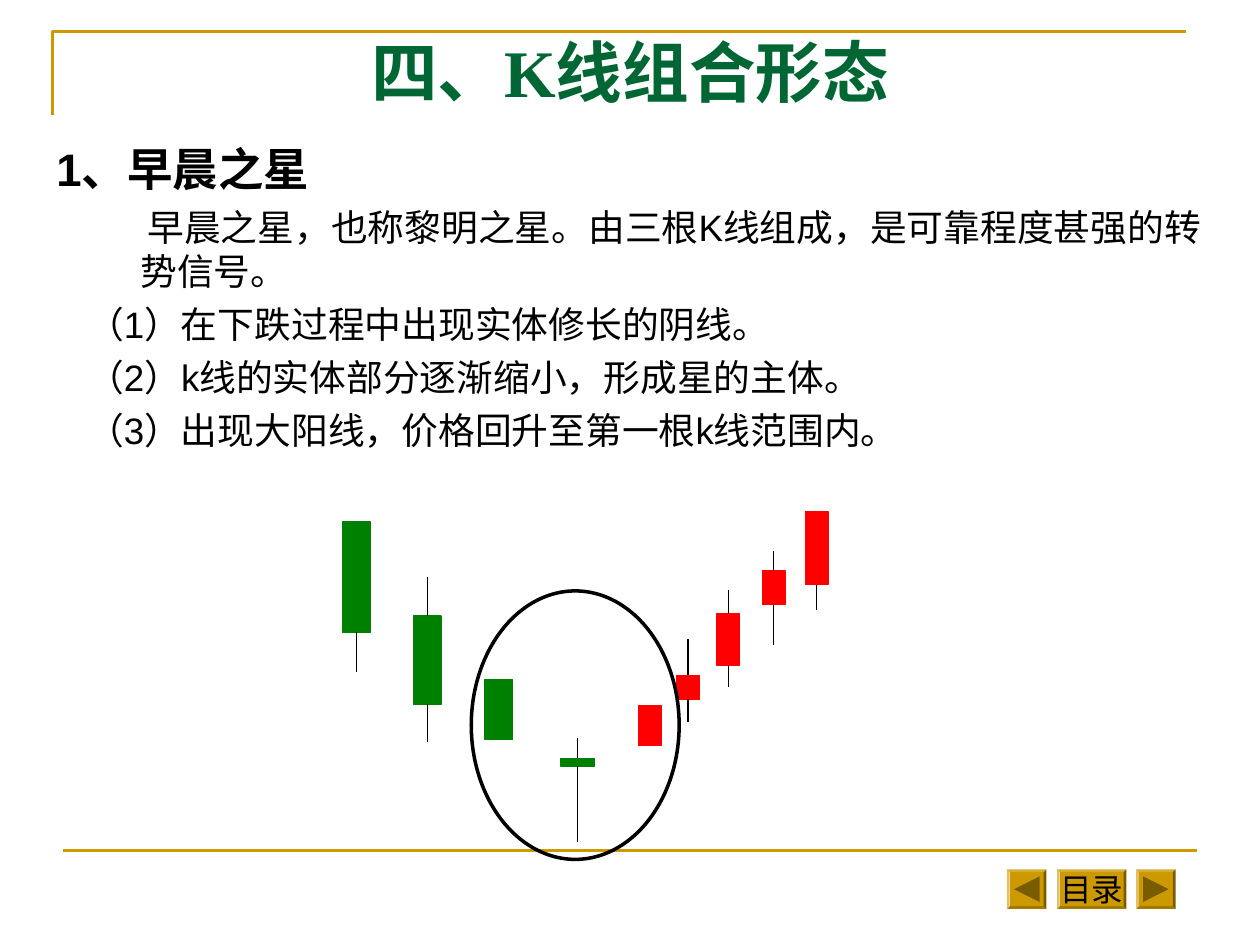
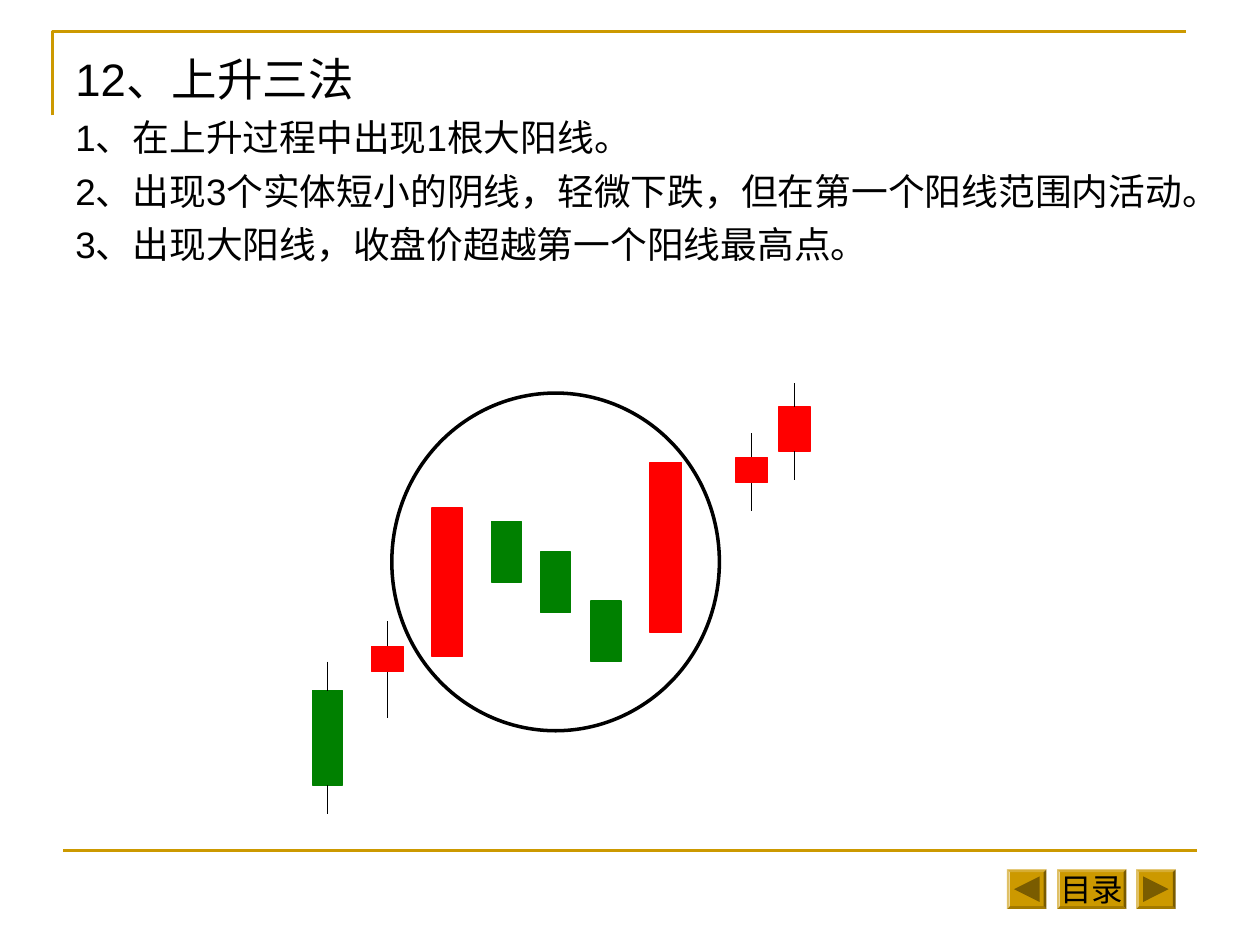
from pptx import Presentation
from pptx.dml.color import RGBColor
from pptx.enum.shapes import MSO_CONNECTOR, MSO_SHAPE
from pptx.enum.text import MSO_ANCHOR, PP_ALIGN
from pptx.oxml.ns import qn
from pptx.util import Pt
from lxml.etree import SubElement

GOLD = RGBColor(0xCC, 0x99, 0x00)
DARK_GOLD = RGBColor(0x7A, 0x5C, 0x00)
TITLE_GREEN = RGBColor(0x00, 0x66, 0x33)
GREEN = RGBColor(0x00, 0x80, 0x00)
RED = RGBColor(0xFF, 0x00, 0x00)
BLACK = RGBColor(0x00, 0x00, 0x00)

# Candles: centre x, width, high, body top, body bottom, low, colour
MORNING_STAR = [
    (203.8, 15.8, 298.1, 298.1, 361.4, 383.8, GREEN),
    (244.1, 15.8, 329.8, 352.1, 402.5, 424.1, GREEN),
    (285.1, 15.8, 388.1, 388.1, 422.6, 422.6, GREEN),
    (330.1, 19.4, 421.9, 433.4, 437.8, 481, GREEN),
    (371.5, 13, 403.2, 403.2, 426.2, 426.2, RED),
    (393.1, 13, 365, 385.9, 399.6, 412.6, RED),
    (416.2, 13, 337, 350.6, 380.2, 392.4, RED),
    (442.1, 13, 314.6, 326.2, 345.6, 368.6, RED),
    (466.6, 13, 292.3, 292.3, 334.1, 348.5, RED),
]
RISING_THREE = [
    (187.2, 17.3, 378, 394.6, 448.6, 465.1, GREEN),
    (221.4, 18, 355, 369.4, 383.8, 410.4, RED),
    (255.6, 17.3, 290.2, 290.2, 375.1, 375.1, RED),
    (289.4, 17.3, 298.1, 298.1, 332.6, 332.6, GREEN),
    (317.5, 17.3, 315.4, 315.4, 349.9, 349.9, GREEN),
    (346.3, 17.3, 343.4, 343.4, 378, 378, GREEN),
    (380.5, 18, 264.2, 264.2, 361.4, 361.4, RED),
    (429.5, 18, 247.7, 261.4, 275.8, 292.3, RED),
    (454, 18, 218.9, 232.6, 257.8, 274.3, RED),
]


def add_shape(shapes, kind, left, top, width, height, fill=None, line=None, weight=0.75):
    sp = shapes.add_shape(kind, Pt(left), Pt(top), Pt(width), Pt(height))
    sp.shadow.inherit = False
    if fill is None:
        sp.fill.background()
    else:
        sp.fill.solid()
        sp.fill.fore_color.rgb = fill
    if line is None:
        sp.line.fill.background()
    else:
        sp.line.color.rgb = line
        sp.line.width = Pt(weight)
    return sp


def add_line(shapes, x1, y1, x2, y2, color=BLACK, weight=0.75):
    cx = shapes.add_connector(MSO_CONNECTOR.STRAIGHT, Pt(x1), Pt(y1), Pt(x2), Pt(y2))
    cx.line.color.rgb = color
    cx.line.width = Pt(weight)
    SubElement(cx._element.spPr, qn("a:effectLst"))


def set_font(p, size, name="Arial", color=BLACK, bold=False):
    p.font.size = Pt(size)
    p.font.name = name
    p.font.color.rgb = color
    p.font.bold = bold


def add_nav_button(s, left, width):
    sp = add_shape(s.shapes, MSO_SHAPE.BEVEL, left, 496.8, width, 22.6, GOLD)
    sp.adjustments[0] = 0.07
    return sp


def add_nav_arrow(s, left, rotation):
    add_nav_button(s, left, 22.6)
    sp = add_shape(s.shapes, MSO_SHAPE.ISOSCELES_TRIANGLE, left + 4, 500.8, 14.6, 14.6, DARK_GOLD)
    sp.rotation = rotation


def add_frame(s):
    # Corner rule and bottom rule
    fb = s.shapes.build_freeform(Pt(30), Pt(66))
    fb.add_line_segments([(Pt(30), Pt(18)), (Pt(678), Pt(18))], close=False)
    sp = fb.convert_to_shape()
    sp.shadow.inherit = False
    sp.fill.background()
    sp.line.color.rgb = GOLD
    sp.line.width = Pt(1.5)
    add_line(s.shapes, 36, 486, 684, 486, GOLD, 1.5)

    # Navigation buttons
    tf = add_nav_button(s, 604, 39.6).text_frame
    tf.word_wrap = False
    tf.vertical_anchor = MSO_ANCHOR.MIDDLE
    p = tf.paragraphs[0]
    p.text = "目录"
    p.alignment = PP_ALIGN.CENTER
    set_font(p, 18)
    add_nav_arrow(s, 575.4, -90)
    add_nav_arrow(s, 649.2, 90)


def add_text_box(s, left, top, width, height):
    tf = s.shapes.add_textbox(Pt(left), Pt(top), Pt(width), Pt(height)).text_frame
    tf.word_wrap = True
    return tf


def add_title(s, text):
    tf = add_text_box(s, 36, 21.6, 648, 38.2)
    tf.vertical_anchor = MSO_ANCHOR.MIDDLE
    p = tf.paragraphs[0]
    p.text = text
    p.alignment = PP_ALIGN.CENTER
    set_font(p, 38, "Times New Roman", TITLE_GREEN, True)


def add_body(s, box, margin, heading, lines, bold_heading=False):
    """Heading, then lines given as (first-line indent, text)."""
    tf = add_text_box(s, *box)
    for i, (indent, text) in enumerate([(-margin, heading)] + lines):
        p = tf.add_paragraph() if i else tf.paragraphs[0]
        p.text = text
        pPr = p._p.get_or_add_pPr()
        pPr.set("marL", str(Pt(margin)))
        pPr.set("indent", str(Pt(indent)))
        if i:
            p.space_before = Pt(5.2)
            set_font(p, 21)
        else:
            set_font(p, 26, bold=bold_heading)


def add_candles(s, candles):
    shapes = s.shapes.add_group_shape().shapes
    for x, width, high, top, bottom, low, color in candles:
        add_shape(shapes, MSO_SHAPE.RECTANGLE, x - width / 2, top, width, bottom - top, color, color)
        for start, end in ((high, top), (bottom, low)):
            if start < end:
                add_line(shapes, x, start, x, end)


def add_ring(s, left, top, width, height):
    add_shape(s.shapes, MSO_SHAPE.OVAL, left, top, width, height, line=BLACK, weight=2)


def add_slide(prs):
    s = prs.slides.add_slide(prs.slide_layouts[6])
    add_frame(s)
    return s


def main():
    prs = Presentation()
    prs.slide_width, prs.slide_height = Pt(720), Pt(540)

    # Morning star
    s = add_slide(prs)
    add_body(s, (25.2, 77, 674.6, 425.5), 48, "1、早晨之星", [
        (4, "早晨之星，也称黎明之星。由三根K线组成，是可靠程度甚强的转势信号。"),
        (-30.5, "（1）在下跌过程中出现实体修长的阴线。"),
        (-30.5, "（2）k线的实体部分逐渐缩小，形成星的主体。"),
        (-30.5, "（3）出现大阳线，价格回升至第一根k线范围内。"),
    ], bold_heading=True)
    add_candles(s, MORNING_STAR)
    add_title(s, "四、K线组合形态")
    add_ring(s, 269.3, 337.7, 118.8, 153.4)

    # Rising three methods
    s = add_slide(prs)
    add_body(s, (36, 25.9, 648, 456.5), 27, "12、上升三法", [
        (-27, "1、在上升过程中出现1根大阳线。"),
        (-27, "2、出现3个实体短小的阴线，轻微下跌，但在第一个阳线范围内活动。"),
        (-27, "3、出现大阳线，收盘价超越第一个阳线最高点。"),
    ])
    add_candles(s, RISING_THREE)
    add_ring(s, 223.9, 224.6, 187.2, 193)

    prs.save("out.pptx")


if __name__ == "__main__":
    main()
